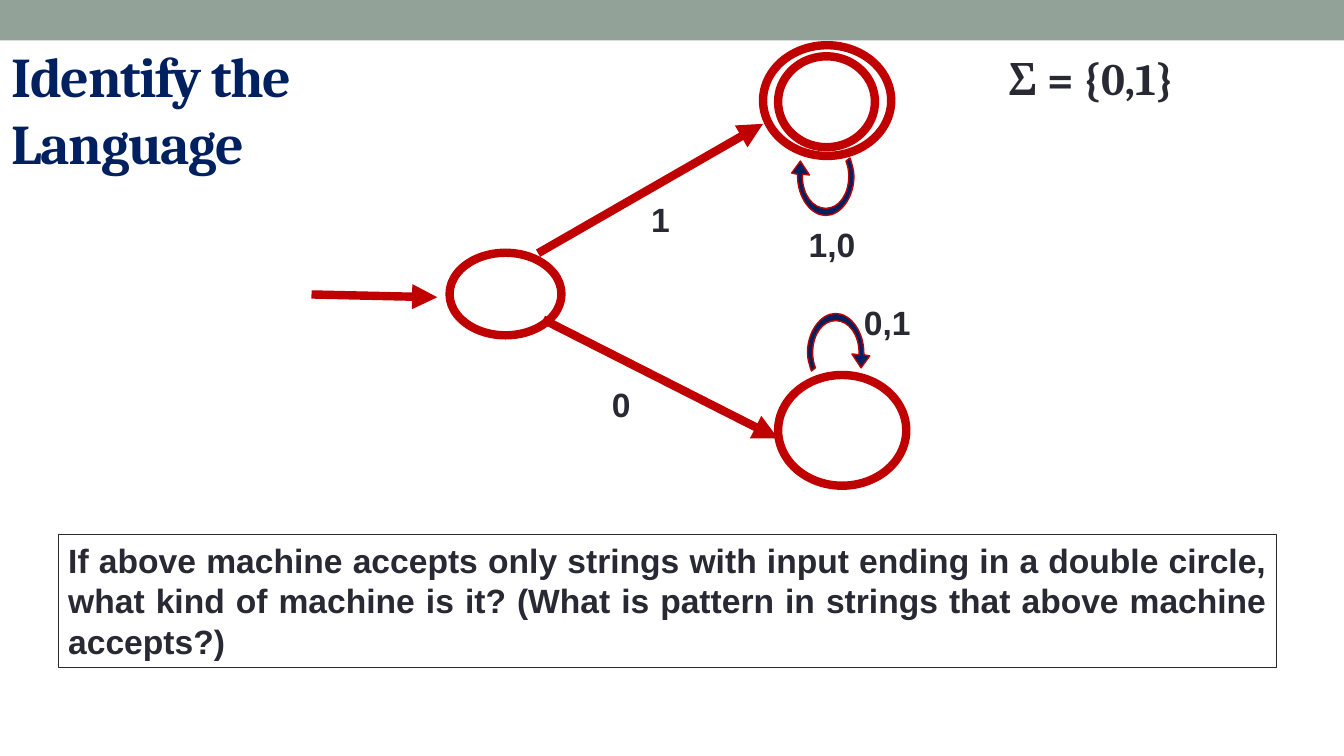
import pptx
import pptx.dml.color
import pptx.enum.shapes
import pptx.enum.text
import pptx.oxml
import pptx.oxml.ns
import pptx.util
from pptx.util import Cm

COLORS = {
    "band": "93A299",
    "machine": "C00000",
    "navy": "002060",
    "ink": "292934",
    "white": "FFFFFF",
}
SHAPES = pptx.enum.shapes.MSO_SHAPE
ALIGN = pptx.enum.text.PP_ALIGN

# Outline of a loop in cm: one point is a straight side, three are a curve.
LOOP_START = (1.3, 1.04)
LOOP_SIDES = [
    [(1.3, 1.02), (1.3, 1.01), (1.3, 0.99)],
    [(1.3, 0.53), (1.04, 0.18), (0.71, 0.18)],
    [(0.38, 0.18), (0.13, 0.53), (0.13, 0.99)],
    [(0.13, 1.12), (0.15, 1.24), (0.2, 1.37)],
    [(0.1, 1.45)],
    [(0.05, 1.3), (0, 1.14), (0, 0.99)],
    [(0, 0.46), (0.33, 0), (0.71, 0)],
    [(1.09, 0), (1.42, 0.46), (1.42, 0.99)],
    [(1.42, 1.02), (1.42, 1.03), (1.42, 1.04)],
    [(1.57, 1.07)],
    [(1.35, 1.37)],
    [(1.12, 1.02)],
]


def color(name):
    return pptx.dml.color.RGBColor.from_string(COLORS[name])


def style(shape, fill=None, line=None, width=0.75):
    shape.shadow.inherit = False
    if fill:
        shape.fill.solid()
        shape.fill.fore_color.rgb = color(fill)
    else:
        shape.fill.background()
    if line:
        shape.line.color.rgb = color(line)
        shape.line.width = pptx.util.Pt(width)
    else:
        shape.line.fill.background()


def add_shape(page, kind, box, **look):
    shape = page.shapes.add_shape(kind, *map(Cm, box))
    style(shape, **look)


def add_state(page, *box):
    add_shape(page, SHAPES.OVAL, box, line="machine", width=6)


def add_text(page, text, box, size=24, font="Arial", ink="ink", border=None,
             wrap=True, spacing=None, **para_format):
    shape = page.shapes.add_textbox(*map(Cm, box))
    style(shape, line=border)
    shape.text_frame.word_wrap = wrap
    para = shape.text_frame.paragraphs[0]
    for name, value in para_format.items():
        setattr(para, name, value)
    span = para.add_run()
    span.text = text
    values = {"name": font, "size": pptx.util.Pt(size), "bold": True}
    for name, value in values.items():
        setattr(span.font, name, value)
    span.font.color.rgb = color(ink)
    if spacing:
        span.font._element.set("spc", str(spacing))


def add_arrow(page, *ends):
    arrow = page.shapes.add_connector(
        pptx.enum.shapes.MSO_CONNECTOR.STRAIGHT, *map(Cm, ends))
    arrow.line.color.rgb = color("machine")
    arrow.line.width = pptx.util.Pt(6)
    head = pptx.oxml.parse_xml(
        f'<a:tailEnd {pptx.oxml.ns.nsdecls("a")} type="triangle"/>')
    arrow.line._get_or_add_ln().append(head)
    effects = pptx.oxml.parse_xml(f'<a:effectLst {pptx.oxml.ns.nsdecls("a")}/>')
    arrow._element.spPr.append(effects)


def add_loop(page, left, top, rotation=0):
    """Draw a curved arrow whose ring fills a box of 1.4 by 1.98 cm."""
    builder = page.shapes.build_freeform(
        Cm(left + LOOP_START[0]), Cm(top + LOOP_START[1]))
    builder.add_line_segments(
        [(Cm(left + x), Cm(top + y)) for side in LOOP_SIDES for x, y in side])
    loop = builder.convert_to_shape()

    outline = loop._element.find(".//" + pptx.oxml.ns.qn("a:path"))
    lines = iter(outline.findall(pptx.oxml.ns.qn("a:lnTo")))
    for side in LOOP_SIDES:
        steps = [next(lines) for _ in side]
        if len(side) == 3:
            curve = pptx.oxml.parse_xml(
                f'<a:cubicBezTo {pptx.oxml.ns.nsdecls("a")}/>')
            steps[0].addprevious(curve)
            for step in steps:
                curve.append(step[0])
                outline.remove(step)

    box = {"left": Cm(left), "top": Cm(top), "width": Cm(1.4),
           "height": Cm(1.98), "rotation": rotation}
    for name, value in box.items():
        setattr(loop, name, value)
    outline.set("w", str(loop.width))
    outline.set("h", str(loop.height))
    style(loop, fill="navy", line="machine", width=1)


def main():
    deck = pptx.Presentation()
    deck.slide_width, deck.slide_height = Cm(33.87), Cm(19.05)
    page = deck.slides.add_slide(deck.slide_layouts[6])

    add_shape(page, SHAPES.RECTANGLE, (0, 0, 33.87, 1.02), fill="band")

    for text, left, top, width in [("0,1", 21.51, 7.49, 1.7),
                                   ("1", 16.15, 4.9, 0.99),
                                   ("1,0", 20.12, 5.51, 1.7),
                                   ("0", 15.16, 9.55, 0.99)]:
        add_text(page, text, (left, top, width, 1.27), border="white",
                 wrap=False, alignment=ALIGN.CENTER)

    add_state(page, 11.33, 6.37, 2.82, 2.08)
    add_state(page, 19.23, 1.14, 3.23, 2.79)
    add_state(page, 19.61, 1.42, 2.44, 2.29)
    add_state(page, 19.61, 9.45, 3.23, 2.79)

    add_arrow(page, 7.85, 7.42, 11.02, 7.49)
    add_arrow(page, 13.56, 6.38, 19.23, 3.12)
    add_arrow(page, 13.69, 8.05, 19.61, 11.05)
    add_loop(page, 20.12, 3.45, rotation=180)
    add_loop(page, 20.35, 7.9)

    add_text(page, "If above machine accepts only strings with input ending in a "
             "double circle, what kind of machine is it? (What is pattern in "
             "strings that above machine accepts?)",
             (1.47, 13.48, 30.7, 3.33), border="ink", alignment=ALIGN.JUSTIFY)
    add_text(page, "Identify the Language", (0.05, 0.91, 13.49, 2.54), size=40,
             font="Cambria", ink="navy", spacing=-100)
    add_text(page, "Σ = {0,1}", (25.17, 1.15, 4.88, 1.63), size=32,
             font="Cambria", wrap=False)

    deck.save("out.pptx")


if __name__ == "__main__":
    main()
